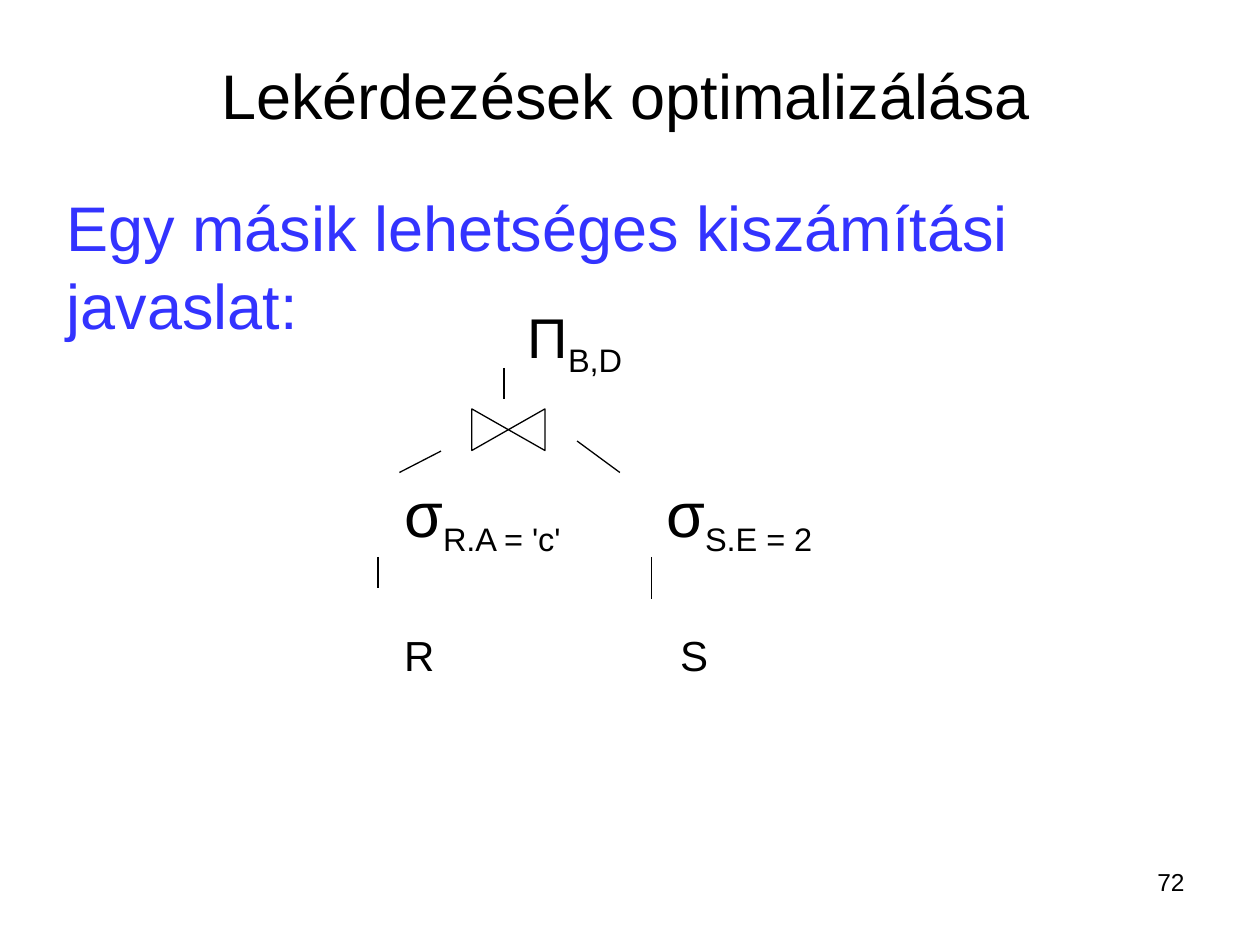
from lxml import etree
from pptx import Presentation
from pptx.dml.color import RGBColor
from pptx.enum.shapes import MSO_CONNECTOR, MSO_SHAPE
from pptx.enum.text import MSO_ANCHOR as ANCHOR, PP_ALIGN as ALIGN
from pptx.oxml.ns import qn
from pptx.util import Inches, Pt

BLACK, BLUE, WHITE = "000000", "3333FF", "FFFFFF"


def color(value):
    return RGBColor.from_string(value)


def add_run(p, text, size, fill, baseline=0):
    r = p.add_run()
    r.text = text
    r.font.name = "Arial"
    r.font.size = Pt(size)
    r.font.color.rgb = color(fill)
    if baseline:
        r._r.get_or_add_rPr().set("baseline", str(baseline * 1000))


def add_text(slide, text, box, size=24, fill=BLACK, align=ALIGN.LEFT,
             anchor=ANCHOR.TOP, spacing=None, subscript=""):
    tf = slide.shapes.add_textbox(*map(Inches, box)).text_frame
    tf.word_wrap = True
    tf.vertical_anchor = anchor
    p = tf.paragraphs[0]
    p.alignment = align
    if spacing:
        p.line_spacing = spacing
    add_run(p, text, size, fill)
    if subscript:
        add_run(p, subscript, 32, fill, baseline=-25)


def add_branch(slide, x1, y1, x2, y2):
    line = slide.shapes.add_connector(
        MSO_CONNECTOR.STRAIGHT, *map(Inches, (x1, y1, x2, y2)))
    line.line.color.rgb = color(BLACK)
    line.line.width = Pt(0.75)
    etree.SubElement(line._element.spPr, qn("a:effectLst"))


def add_join(slide, box):
    sp = slide.shapes.add_shape(MSO_SHAPE.FLOWCHART_COLLATE, *map(Inches, box))
    sp.rotation = 270
    sp.shadow.inherit = False
    sp.fill.solid()
    sp.fill.fore_color.rgb = color(WHITE)
    sp.line.color.rgb = color(BLACK)
    sp.line.width = Pt(0.75)


def main():
    prs = Presentation()
    prs.slide_width, prs.slide_height = Inches(10), Inches(7.5)
    slide = prs.slides.add_slide(prs.slide_layouts[6])

    add_text(slide, "Egy másik lehetséges kiszámítási javaslat:",
             (0.43, 1.47, 8.5, 1.25), size=36, fill=BLUE,
             anchor=ANCHOR.MIDDLE, spacing=1.04)

    operators = [
        ("Π", "B,D", 32, 4.09, 2.35),
        ("σ", "R.A = 'c'", 36, 3.11, 3.72),
        ("σ", "S.E = 2", 36, 5.19, 3.72),
    ]
    for symbol, subscript, size, x, y in operators:
        add_text(slide, symbol, (x, y, 2, 0.7), size=size, subscript=subscript)
    for relation, x in (("R", 3.11), ("S", 5.3)):
        add_text(slide, relation, (x, 4.95, 0.6, 0.5))

    add_join(slide, (3.87, 3.12, 0.33, 0.58))
    branches = [
        (4, 2.92, 4, 3.17),
        (3.5, 3.58, 3.17, 3.75),
        (4.58, 3.5, 4.92, 3.75),
        (3, 4.42, 3, 4.67),
        (5.17, 4.42, 5.17, 4.75),
    ]
    for branch in branches:
        add_branch(slide, *branch)

    add_text(slide, "Lekérdezések optimalizálása", (0.51, 0.6, 8.91, 0.3),
             size=36, align=ALIGN.CENTER, anchor=ANCHOR.MIDDLE)
    add_text(slide, "72", (7.17, 6.83, 2.33, 0.52), size=14, align=ALIGN.RIGHT)

    prs.save("out.pptx")


if __name__ == "__main__":
    main()
